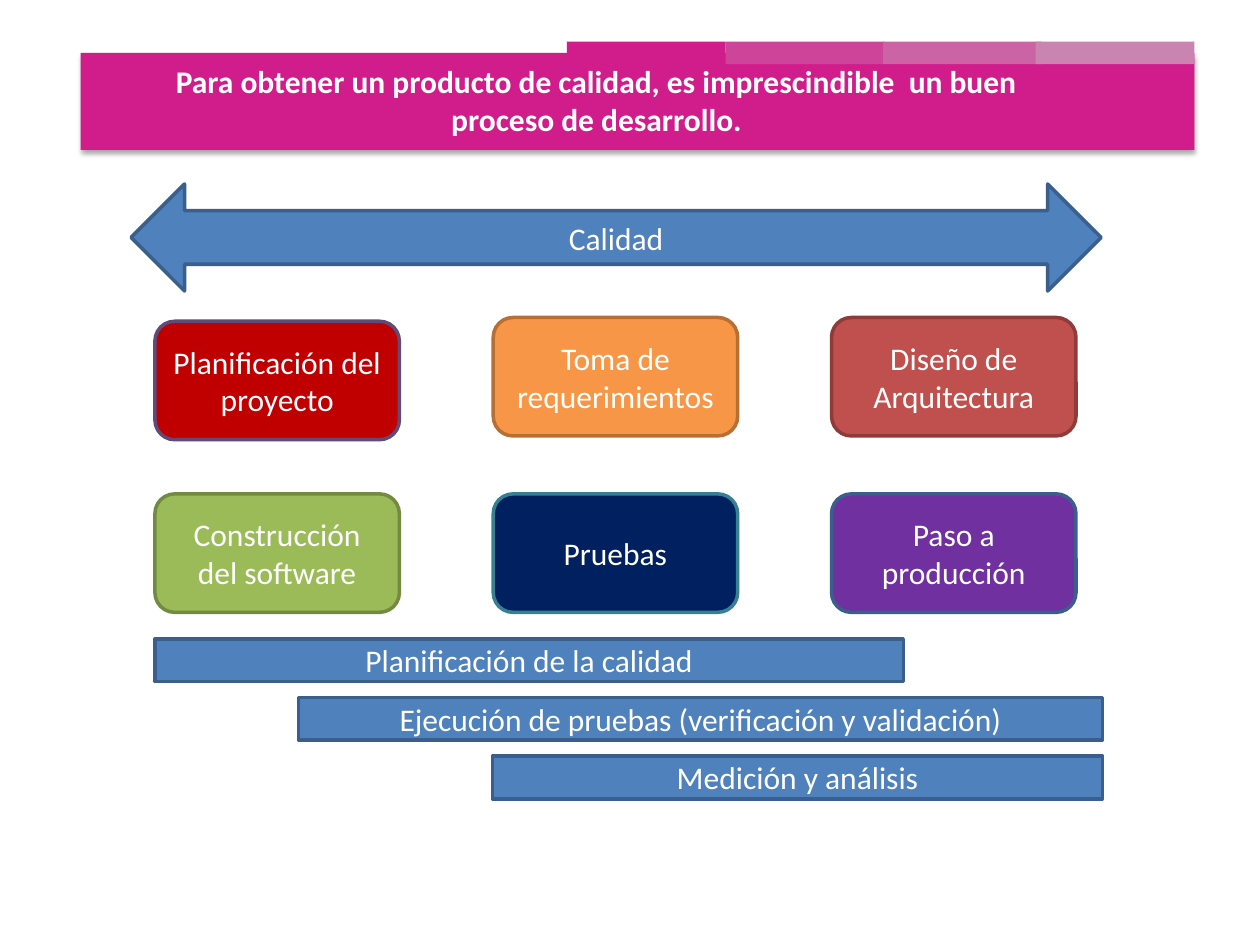
"""Builds a slide on how the development process supports product quality."""
from dataclasses import dataclass

from lxml import etree
from pptx import Presentation
from pptx.dml.color import RGBColor
from pptx.enum import shapes, text
from pptx.oxml import ns
from pptx.util import Inches, Pt


@dataclass(frozen=True)
class Theme:
    """Colours, font and sizes shared by the slide."""
    font: str = "Calibri"
    size: int = 18
    line_width: int = 2
    white: str = "FFFFFF"
    banner: str = "D11D8B"
    tabs: tuple = ("D11D8B", "CD4599", "CC63A5", "C984B0")
    blue: str = "4F81BD"
    blue_line: str = "3A5F8C"


THEME = Theme()
SHAPE = shapes.MSO_SHAPE


def style_text(frame, wording, bold=False):
    """Write centred white text into a text frame."""
    frame.text = wording
    frame.word_wrap = True
    for paragraph in frame.paragraphs:
        paragraph.alignment = text.PP_ALIGN.CENTER
        for run in paragraph.runs:
            run.font.name = THEME.font
            run.font.size = Pt(THEME.size)
            run.font.bold = bold
            run.font.color.rgb = RGBColor.from_string(THEME.white)


def add_block(slide, kind, box, fill, line=None, label=None):
    """Add a filled shape with an optional outline and label."""
    block = slide.shapes.add_shape(kind, *map(Inches, box))
    block.shadow.inherit = False
    block.fill.solid()
    block.fill.fore_color.rgb = RGBColor.from_string(fill)
    if line:
        block.line.color.rgb = RGBColor.from_string(line)
        block.line.width = Pt(THEME.line_width)
    else:
        block.line.fill.background()
    if label:
        block.text_frame.vertical_anchor = text.MSO_ANCHOR.MIDDLE
        style_text(block.text_frame, label)
    return block


def add_drop_shadow(block):
    """Give a shape a soft shadow below it."""
    effects = block._element.spPr.find(ns.qn("a:effectLst"))
    shadow = etree.SubElement(effects, ns.qn("a:outerShdw"), blurRad=str(Pt(3.1)),
                              dist=str(Pt(1.8)), dir="5400000", rotWithShape="0")
    colour = etree.SubElement(shadow, ns.qn("a:srgbClr"), val="000000")
    etree.SubElement(colour, ns.qn("a:alpha"), val="35000")


def add_banner(slide):
    """Add the heading band and the row of tabs on its upper edge."""
    add_drop_shadow(add_block(slide, SHAPE.RECTANGLE, (0.64, 0.42, 8.84, 0.77), THEME.banner))
    for left, fill in zip((4.5, 5.76, 7.01, 8.22), THEME.tabs):
        add_block(slide, SHAPE.RECTANGLE, (left, 0.33, 1.26, 0.18), fill)


def set_title(slide, wording):
    """Place the title in front of the banner."""
    title = slide.shapes.title
    title.left, title.top, title.width, title.height = map(Inches, (0.93, 0.44, 7.61, 0.71))
    style_text(title.text_frame, wording, bold=True)
    title.text_frame.vertical_anchor = text.MSO_ANCHOR.TOP
    title.text_frame.auto_size = text.MSO_AUTO_SIZE.SHAPE_TO_FIT_TEXT
    slide.shapes._spTree.append(title._element)


def add_stages(slide):
    """Add the six process stages in two rows of three."""
    stages = (
        ("Planificación del proyecto", "C00000", "5F4A78", 2.55),
        ("Toma de requerimientos", "F79646", "B76F34", 2.52),
        ("Diseño de Arquitectura", "C0504D", "8E3B39", 2.52),
        ("Construcción del software", "9BBB59", "738A42", 3.92),
        ("Pruebas", "002060", "377F92", 3.92),
        ("Paso a producción", "7030A0", THEME.blue_line, 3.92),
    )
    for index, (label, fill, line, top) in enumerate(stages):
        left = 1.23 + index % 3 * 2.685
        add_block(slide, SHAPE.ROUNDED_RECTANGLE, (left, top, 1.94, 0.94), fill, line, label)


def add_quality_bars(slide):
    """Add the staggered bars of quality activities."""
    activities = (
        ("Planificación de la calidad", 1.23, 5.94),
        ("Ejecución de pruebas (verificación y validación)", 2.37, 6.38),
        ("Medición y análisis", 3.91, 4.84),
    )
    for row, (label, left, width) in enumerate(activities):
        add_block(slide, SHAPE.RECTANGLE, (left, 5.07 + row * 0.465, width, 0.34),
                  THEME.blue, THEME.blue_line, label)


def main():
    """Build and save the slide."""
    deck = Presentation()
    deck.slide_width, deck.slide_height = Inches(10), Inches(7.5)
    slide = deck.slides.add_slide(deck.slide_layouts.get_by_name("Title Only"))
    add_banner(slide)
    add_block(slide, SHAPE.LEFT_RIGHT_ARROW, (1.04, 1.46, 7.7, 0.85),
              THEME.blue, THEME.blue_line, "Calidad")
    add_quality_bars(slide)
    add_stages(slide)
    set_title(slide, "Para obtener un producto de calidad, es imprescindible  un buen "
                     "proceso de desarrollo.")
    deck.save("out.pptx")


if __name__ == "__main__":
    main()
